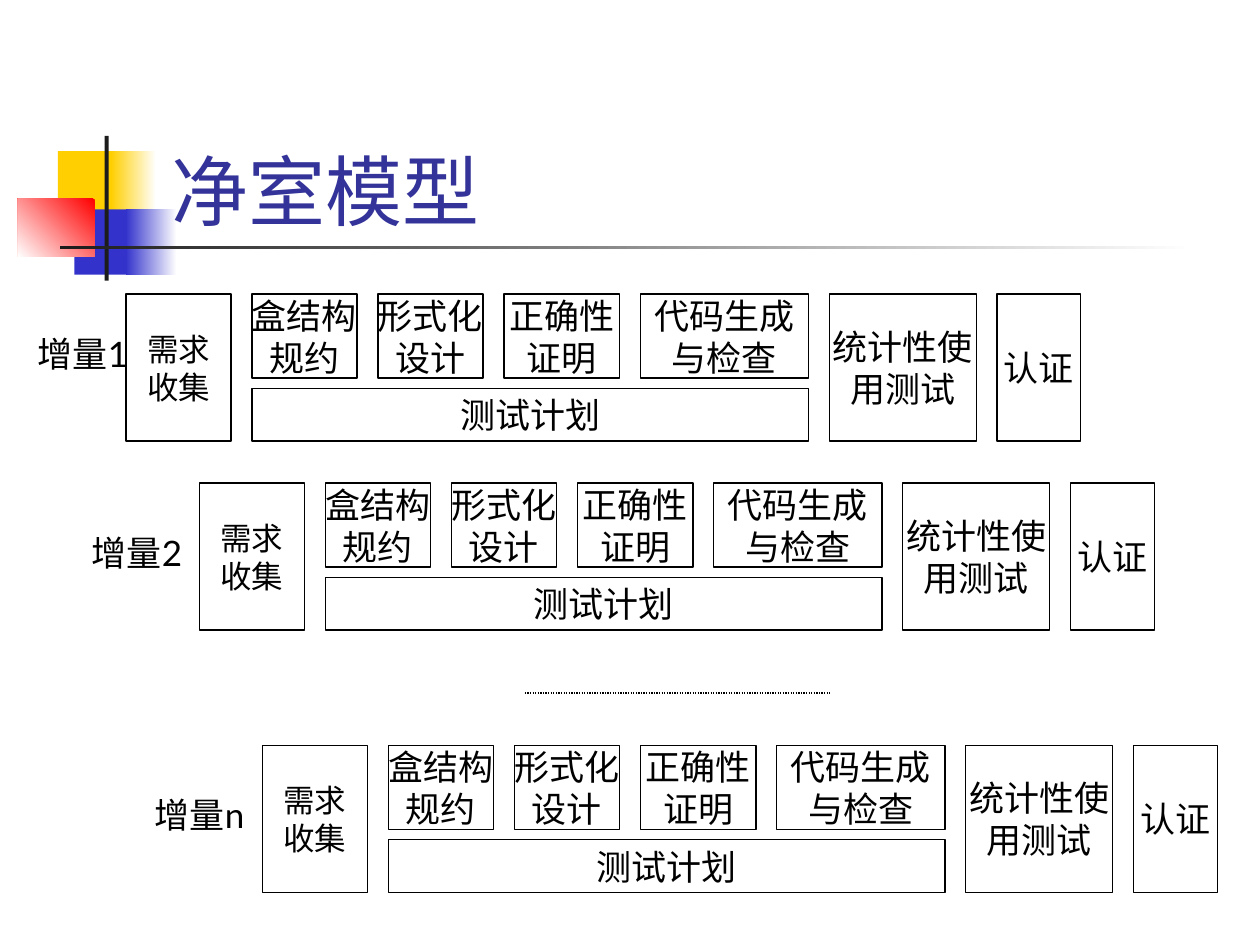
from pptx import Presentation
from pptx.dml.color import RGBColor
from pptx.enum import dml, shapes, text
from pptx.oxml.ns import qn
from pptx.util import Cm, Pt
from lxml import etree

BLACK = RGBColor(0x00, 0x00, 0x00)
WHITE = RGBColor(0xFF, 0xFF, 0xFF)
GOLD = RGBColor(0xFF, 0xCF, 0x01)
BLUE = RGBColor(0x33, 0x33, 0xCC)
RED = RGBColor(0xFF, 0x00, 0x00)
DARK = RGBColor(0x1C, 0x1C, 0x1C)
NAVY = RGBColor(0x33, 0x33, 0x99)

TITLE = "净室模型"
DECOR = [
    ((1.17, 3.05, 1.22, 1.32), [GOLD], 0),
    ((2.24, 3.05, 0.91, 1.32), [WHITE, GOLD], 180),
    ((1.5, 4.22, 1.17, 1.32), [BLUE], 0),
    ((2.54, 4.22, 1.02, 1.32), [WHITE, BLUE], 180),
    ((0.36, 4.01, 1.55, 1.17), [RED, WHITE], 225),
    ((2.11, 2.74, 0.08, 2.92), [DARK], 0),
    ((1.22, 4.95, 22.86, 0.08), [WHITE, DARK], 180),
]
STEPS = [
    (["需求", "收集"], 2.12, "full", 18),
    (["盒结构", "规约"], 2.12, "part", 20),
    (["形式化", "设计"], 2.12, "part", 20),
    (["正确性", "证明"], 2.33, "part", 20),
    (["代码生成", "与检查"], 3.39, "part", 20),
    (["统计性使", "用测试"], 2.96, "full", 20),
    (["认证"], 1.69, "full", 20),
]
PLAN = ["测试计划"]
ROWS = [
    (2.54, 5.93, "增量1", (0.51, 6.58, 2.34, 1.12), True),
    (4.02, 9.74, "增量2", (1.6, 10.59, 2.34, 1.12), True),
    (5.29, 15.03, "增量n", (2.87, 15.88, 2.51, 1.12), False),
]
GAP = 0.42
HIGH = {"full": 2.96, "part": 1.69, "plan": 1.06}

MID = {"vertical_anchor": text.MSO_ANCHOR.MIDDLE, "word_wrap": False}
LOW = {"vertical_anchor": text.MSO_ANCHOR.BOTTOM, "word_wrap": True}
CENTER = {"alignment": text.PP_ALIGN.CENTER}
LEFT = {"alignment": text.PP_ALIGN.LEFT}

deck = Presentation()
deck.slide_width, deck.slide_height = Cm(25.4), Cm(19.05)
slide = deck.slides.add_slide(deck.slide_layouts[6])


def apply(item, form):
    for key, val in form.items():
        setattr(item, key, val)


def write(shape, lines, size, color, frame, para):
    body = shape.text_frame
    body.text = "\n".join(lines)
    apply(body, frame)
    for par in body.paragraphs:
        apply(par, para)
        font = par.runs[0].font
        apply(font, {"name": "Lato", "size": Pt(size)})
        font.color.rgb = color


def rect(place):
    shape = slide.shapes.add_shape(
        shapes.MSO_SHAPE.RECTANGLE, *map(Cm, place))
    shape.shadow.inherit = False
    return shape


def decor(place, colors, angle):
    shape = rect(place)
    shape.line.fill.background()
    if len(colors) == 1:
        shape.fill.solid()
        shape.fill.fore_color.rgb = colors[0]
        return
    shape.fill.gradient()
    shape.fill.gradient_angle = angle
    for stop, color in zip(shape.fill.gradient_stops, colors):
        stop.color.rgb = color


def box(place, lines, size):
    shape = rect(place)
    shape.fill.background()
    shape.line.color.rgb = BLACK
    shape.line.width = Pt(0.75)
    write(shape, lines, size, BLACK, MID, CENTER)


def label(place, line, size, color, frame):
    shape = slide.shapes.add_textbox(*map(Cm, place))
    write(shape, [line], size, color, frame, LEFT)


def row(left, top):
    x, spans = left, []
    for lines, wide, kind, size in STEPS:
        box((x, top, wide, HIGH[kind]), lines, size)
        if kind == "part":
            spans += [x, x + wide]
        x += wide + GAP
    start, end = min(spans), max(spans)
    drop = top + HIGH["full"] - HIGH["plan"]
    box((start, drop, end - start, HIGH["plan"]), PLAN, 20)


for part in DECOR:
    decor(*part)
label((3.2, 1.7, 21.64, 3.18), TITLE, 44, NAVY, LOW)

for left, top, name, place, wrap in ROWS:
    row(left, top)
    label(place, name, 20, BLACK, {"word_wrap": wrap})

dots = slide.shapes.add_connector(
    shapes.MSO_CONNECTOR.STRAIGHT, Cm(10.58), Cm(13.97), Cm(16.72), Cm(13.97))
apply(dots.line, {"width": Pt(0.75), "dash_style": dml.MSO_LINE.ROUND_DOT})
dots.line.color.rgb = BLACK
etree.SubElement(dots.element.spPr, qn("a:effectLst"))

deck.save("out.pptx")
